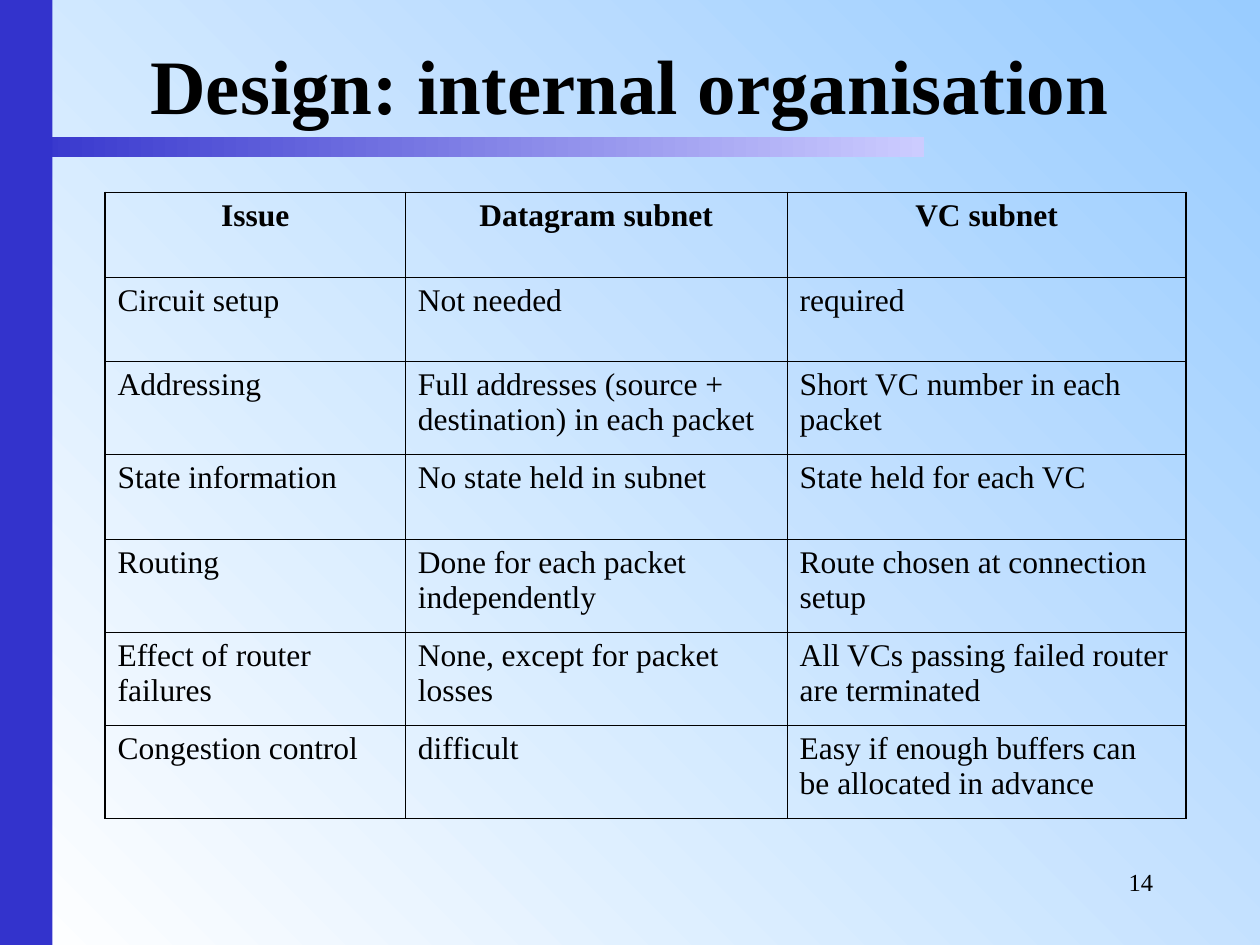
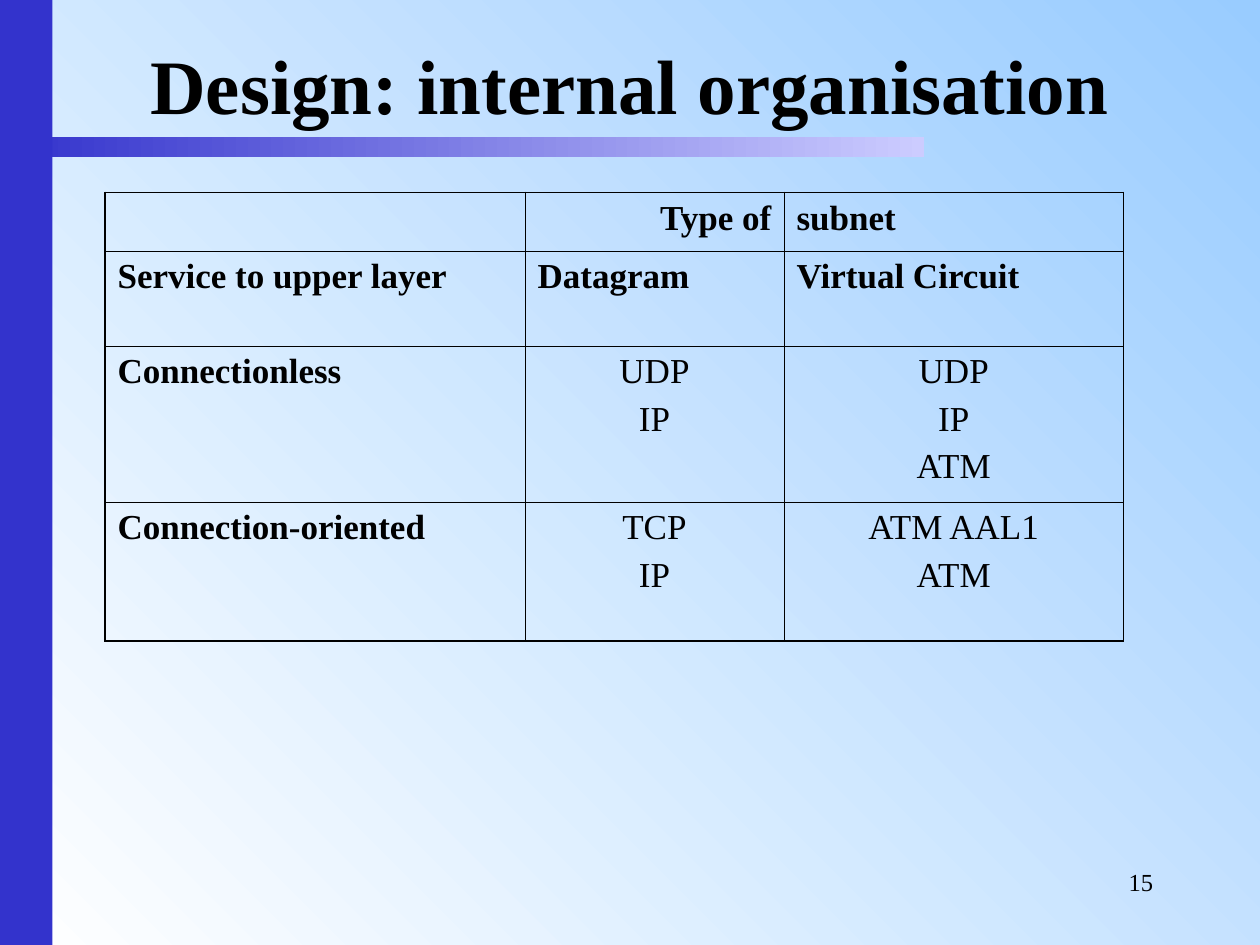
from dataclasses import dataclass
from lxml.etree import SubElement
from pptx import Presentation
from pptx.dml.color import RGBColor as RGB
from pptx.enum.shapes import MSO_SHAPE as Shape
from pptx.enum.text import MSO_ANCHOR as Anchor, PP_ALIGN as Align
from pptx.oxml.ns import qn
from pptx.util import Pt


@dataclass(frozen=True)
class Theme:
    font: str = "Times New Roman"
    ink: RGB = RGB(0x00, 0x00, 0x00)
    band: RGB = RGB(0x33, 0x33, 0xCC)
    band_pale: RGB = RGB(0xCC, 0xCC, 0xFF)
    sky: RGB = RGB(0x99, 0xCC, 0xFF)
    white: RGB = RGB(0xFF, 0xFF, 0xFF)
    title_size: float = 44
    number_size: float = 14
    outer_line: float = 1.08
    inner_line: float = 0.45


class Deck:
    def __init__(self, theme):
        self.theme = theme
        self.prs = Presentation()
        self.prs.slide_width, self.prs.slide_height = Pt(720), Pt(540)
        self.s = None

    def slide(self, title, number):
        t = self.theme
        self.s = self.prs.slides.add_slide(self.prs.slide_layouts[6])
        self.gradient(self.s.background.fill, t.sky, t.white, 225)
        underline = self.rect(6, 78, 522, 12)
        self.gradient(underline.fill, t.band_pale, t.band, 180)
        side_band = self.rect(0, 0, 30, 540)
        side_band.fill.solid()
        side_band.fill.fore_color.rgb = t.band
        self.text(title, 36, 18, 648, 60, t.title_size, Align.CENTER, True, Anchor.MIDDLE)
        self.text(str(number), 564, 492, 102, 36, t.number_size, Align.RIGHT)

    def gradient(self, fill, start, end, angle):
        fill.gradient()
        fill.gradient_angle = angle
        for stop, color in zip(fill.gradient_stops, (start, end)):
            stop.color.rgb = color

    def rect(self, x, y, w, h):
        sp = self.s.shapes.add_shape(Shape.RECTANGLE, Pt(x), Pt(y), Pt(w), Pt(h))
        sp.shadow.inherit = False
        sp.line.fill.background()
        return sp

    def text(self, text, x, y, w, h, size, align, bold=False, anchor=Anchor.TOP):
        tf = self.s.shapes.add_textbox(Pt(x), Pt(y), Pt(w), Pt(h)).text_frame
        tf.word_wrap = True
        tf.vertical_anchor = anchor
        self.paragraphs(tf, text, size, align, bold)

    def paragraphs(self, tf, text, size, align, bold):
        for i, line in enumerate(text.splitlines()):
            p = tf.add_paragraph() if i else tf.paragraphs[0]
            p.alignment = align
            if i:
                p.space_before = Pt(size / 4)
            r = p.add_run()
            r.text = line
            r.font.name, r.font.size, r.font.bold = self.theme.font, Pt(size), bold
            r.font.color.rgb = self.theme.ink

    def table(self, x, y, widths, heights, rows, size, look):
        last_row, last_col = len(heights) - 1, len(widths) - 1
        frame = self.s.shapes.add_table(len(heights), len(widths), Pt(x), Pt(y),
                                        Pt(sum(widths)), Pt(sum(heights)))
        tbl = frame.table
        tbl.first_row = tbl.horz_banding = False
        for col, width in zip(tbl.columns, widths):
            col.width = Pt(width)
        for row, height in zip(tbl.rows, heights):
            row.height = Pt(height)
        for i, row in enumerate(rows):
            for j, text in enumerate(row):
                cell = tbl.cell(i, j)
                cell.margin_left = cell.margin_right = Pt(7.2)
                cell.margin_top = cell.margin_bottom = Pt(3.6)
                self.borders(cell, L=j == 0, R=j == last_col, T=i == 0, B=i == last_row)
                cell.fill.background()
                self.paragraphs(cell.text_frame, text, size, *look(i, j))

    def borders(self, cell, **outer_sides):
        tcPr = cell._tc.get_or_add_tcPr()
        for side, outer in outer_sides.items():
            width = self.theme.outer_line if outer else self.theme.inner_line
            ln = SubElement(tcPr, qn(f"a:ln{side}"), w=str(Pt(width)))
            fill = SubElement(ln, qn("a:solidFill"))
            SubElement(fill, qn("a:srgbClr"), val=str(self.theme.ink))


TITLE = "Design: internal organisation"
TABLE_LEFT, TABLE_TOP = 60, 110

ISSUES = [
    ("Issue", "Datagram subnet", "VC subnet"),
    ("Circuit setup", "Not needed", "required"),
    ("Addressing", "Full addresses (source + destination) in each packet",
     "Short VC number in each packet"),
    ("State information", "No state held in subnet", "State held for each VC"),
    ("Routing", "Done for each packet independently", "Route chosen at connection setup"),
    ("Effect of router failures", "None, except for packet losses",
     "All VCs passing failed router are terminated"),
    ("Congestion control", "difficult", "Easy if enough buffers can be allocated in advance"),
]

SERVICES = [
    ("", "Type of", "subnet"),
    ("Service to upper layer", "Datagram", "Virtual Circuit"),
    ("Connectionless", "UDP\nIP", "UDP\nIP\nATM"),
    ("Connection-oriented", "TCP\nIP", "ATM AAL1\nATM"),
]


def issue_look(row, col):
    return (Align.CENTER, True) if row == 0 else (Align.LEFT, False)


def service_look(row, col):
    if row > 1 and col > 0:
        return Align.CENTER, False
    return (Align.RIGHT if (row, col) == (0, 1) else Align.LEFT), True


def main():
    deck = Deck(Theme())
    one_line, two_lines = 48.25, 53.25
    deck.slide(TITLE, 14)
    deck.table(TABLE_LEFT, TABLE_TOP, (171.6, 218.2, 228),
               (one_line, one_line, two_lines, one_line, two_lines, two_lines, two_lines),
               ISSUES, 18, issue_look)
    deck.slide(TITLE, 15)
    deck.table(TABLE_LEFT, TABLE_TOP, (240, 148, 194), (33.5, 54.25, 89, 79.5),
               SERVICES, 20, service_look)
    deck.prs.save("out.pptx")


if __name__ == "__main__":
    main()
